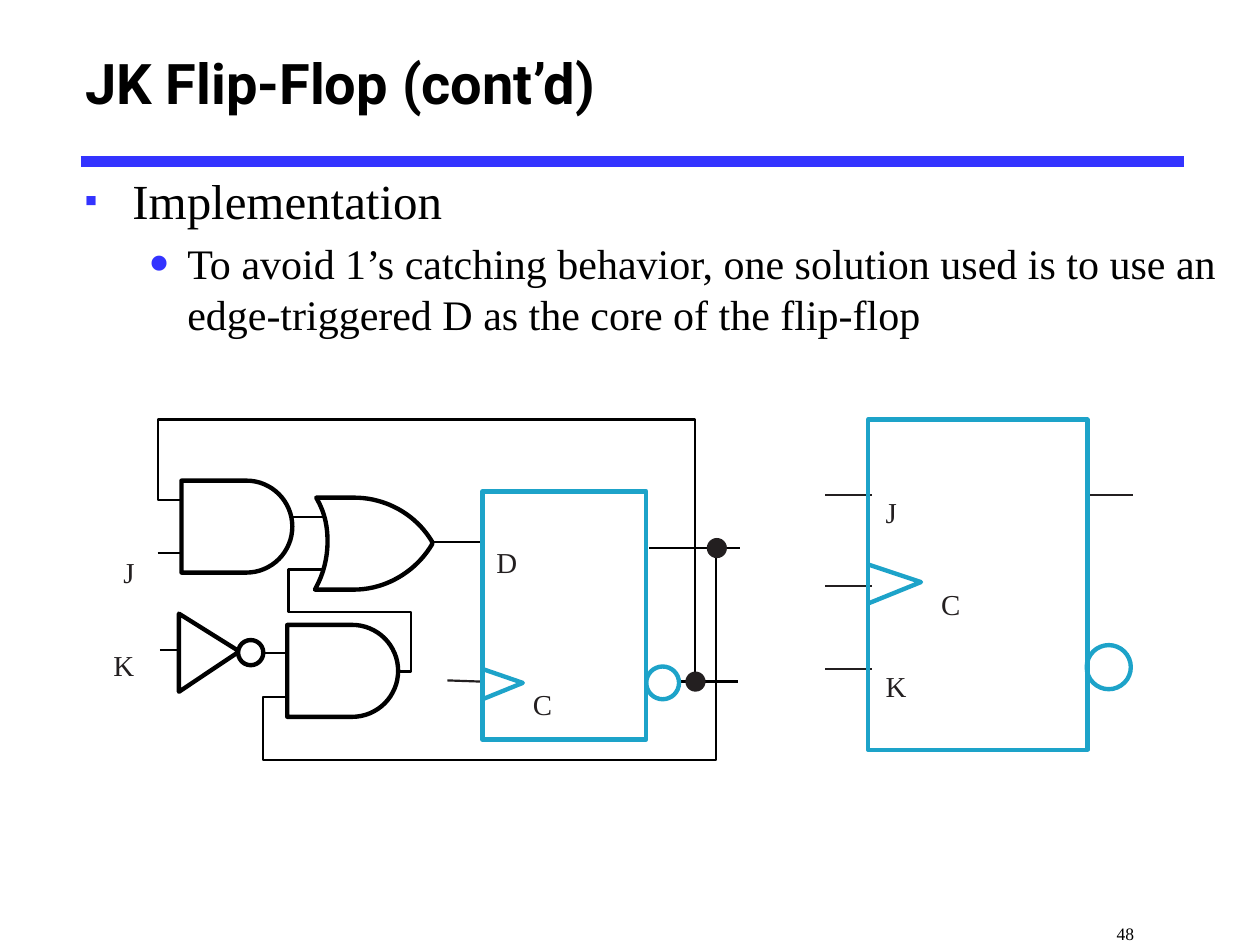
import math
from dataclasses import dataclass

from lxml import etree
from pptx import Presentation
from pptx import util as u
from pptx.dml.color import RGBColor
from pptx.enum import shapes, text
from pptx.oxml import ns

COLS, ROWS = 100, 75


@dataclass(frozen=True)
class Theme:
    black: str = "000000"
    white: str = "FFFFFF"
    accent: str = "3333FF"
    block: str = "1DA3C9"
    ink: str = "231F20"
    head_font: str = "Roboto"
    body_font: str = "Times New Roman"
    title: float = 32
    levels: tuple = (28, 24)
    label: float = 16.5
    number: float = 10
    thin: float = 1.25
    thick: float = 2.5
    rule: float = 6


def arc(cx, cy, radius, start, end, steps=32):
    """Points along a circle, angles in degrees."""
    angles = [math.radians(start + (end - start) * i / steps) for i in range(steps + 1)]
    return [(cx + radius * math.cos(a), cy + radius * math.sin(a)) for a in angles]


def curve(p0, p1, p2, p3, steps=20):
    """Points along a cubic curve."""
    points = []
    for i in range(steps + 1):
        t = i / steps
        weights = ((1 - t) ** 3, 3 * t * (1 - t) ** 2, 3 * t * t * (1 - t), t ** 3)
        points.append(tuple(sum(w * p[axis] for w, p in zip(weights, (p0, p1, p2, p3)))
                            for axis in (0, 1)))
    return points


class Canvas:
    def __init__(self, prs, theme):
        self.theme = theme
        self.slide = prs.slides.add_slide(prs.slide_layouts[5])
        self.shapes = self.slide.shapes
        self.col = prs.slide_width / COLS
        self.row = prs.slide_height / ROWS

    def xy(self, x, y):
        return u.Emu(round(x * self.col)), u.Emu(round(y * self.row))

    def box(self, x, y, w, h):
        return (*self.xy(x, y), *self.xy(w, h))

    def paint(self, sp, fill=None, line=None, width=None):
        sp.shadow.inherit = False
        if fill:
            sp.fill.solid()
            sp.fill.fore_color.rgb = RGBColor.from_string(fill)
        else:
            sp.fill.background()
        if line:
            sp.line.color.rgb = RGBColor.from_string(line)
            sp.line.width = u.Pt(width)
        else:
            sp.line.fill.background()

    def run(self, p, words, size, color, font=None, bold=False):
        r = p.add_run()
        r.text = words
        r.font.size, r.font.bold = u.Pt(size), bold
        r.font.name = font or self.theme.body_font
        r.font.color.rgb = RGBColor.from_string(color)

    def title(self, words, *box):
        sp = self.shapes.title
        sp.left, sp.top, sp.width, sp.height = self.box(*box)
        tf = sp.text_frame
        tf.vertical_anchor = text.MSO_ANCHOR.MIDDLE
        p = tf.paragraphs[0]
        p.alignment = text.PP_ALIGN.LEFT
        self.run(p, words, self.theme.title, self.theme.black, self.theme.head_font, True)

    def bullets(self, items, *box):
        """items: (level, words, bullet, bullet size %, left margin, hang)."""
        tf = self.shapes.add_textbox(*self.box(*box)).text_frame
        tf.word_wrap = True
        for i, (level, words, mark, percent, margin, hang) in enumerate(items):
            p = tf.paragraphs[0] if i == 0 else tf.add_paragraph()
            size = self.theme.levels[level]
            p.level = level
            p.space_before = u.Pt(0.2 * size)
            pr = p._p.get_or_add_pPr()
            pr.set("marL", str(round(margin * self.col)))
            pr.set("indent", str(round(-hang * self.col)))
            color = etree.SubElement(pr, ns.qn("a:buClr"))
            etree.SubElement(color, ns.qn("a:srgbClr"), val=self.theme.accent)
            etree.SubElement(pr, ns.qn("a:buSzPct"), val=str(percent * 1000))
            etree.SubElement(pr, ns.qn("a:buFont"), typeface=self.theme.body_font)
            etree.SubElement(pr, ns.qn("a:buChar"), char=mark)
            self.run(p, words, size, self.theme.black)

    def label(self, words, x, y, w):
        tf = self.shapes.add_textbox(*self.box(x, y, w, 4.7)).text_frame
        tf.margin_left = tf.margin_right = tf.margin_bottom = 0
        tf.margin_top = u.Inches(0.26)
        tf.word_wrap = False
        self.run(tf.paragraphs[0], words, self.theme.label, self.theme.ink)

    def page_number(self, words, *box):
        tf = self.shapes.add_textbox(*self.box(*box)).text_frame
        tf.word_wrap = True
        tf.vertical_anchor = text.MSO_ANCHOR.BOTTOM
        tf.margin_right, tf.margin_bottom = u.Inches(1), u.Inches(0.01)
        p = tf.paragraphs[0]
        p.alignment = text.PP_ALIGN.RIGHT
        self.run(p, words, self.theme.number, self.theme.black)

    def line(self, x1, y1, x2, y2, color, width):
        line = self.shapes.add_connector(shapes.MSO_CONNECTOR.STRAIGHT,
                                         *self.xy(x1, y1), *self.xy(x2, y2))
        line.line.color.rgb = RGBColor.from_string(color)
        line.line.width = u.Pt(width)
        etree.SubElement(line._element.spPr, ns.qn("a:effectLst"))

    def outline(self, strokes, color, width, fill=None, close=False):
        """One freeform made of one or more strokes, each a list of points."""
        builder = None
        for stroke in strokes:
            first, *rest = [self.xy(*point) for point in stroke]
            if builder is None:
                builder = self.shapes.build_freeform(*first, scale=1.0)
            else:
                builder.move_to(*first)
            builder.add_line_segments(rest, close=close)
        self.paint(builder.convert_to_shape(), fill, color, width)

    def wires(self, *strokes, color=None):
        self.outline(strokes, color or self.theme.black, self.theme.thin)

    def block(self, *strokes):
        self.outline(strokes, self.theme.block, self.theme.thick)

    def gate(self, points):
        self.outline([points], self.theme.black, self.theme.thick, self.theme.white, True)

    def and_gate(self, x, y):
        r = 3.65
        self.gate([(x, y), (x, y + 2 * r), *arc(x + 5.15, y + r, r, 90, -90)])

    def preset(self, kind, box, fill=None, line=None):
        sp = self.shapes.add_shape(kind, *self.box(*box))
        self.paint(sp, fill, line, self.theme.thick)


def main():
    prs = Presentation()
    prs.slide_width, prs.slide_height = u.Inches(10), u.Inches(7.5)
    theme = Theme()
    s = Canvas(prs, theme)
    oval, rectangle = shapes.MSO_SHAPE.OVAL, shapes.MSO_SHAPE.RECTANGLE

    # Heading and text
    s.line(6.4, 12.8, 94, 12.8, theme.accent, theme.rule)
    s.title("JK Flip-Flop (cont’d)", 5.75, 0.9, 87.2, 11.2)
    s.bullets([
        (0, "Implementation", "▪", 75, 3.8, 3.8),
        (1, "To avoid 1’s catching behavior, one solution used is to use an "
            "edge-triggered D as the core of the flip-flop", "•", 150, 8.15, 3.1),
    ], 5.73, 13.05, 91.8, 59.7)
    s.page_number("48", 79, 71.2, 21, 3.8)

    # Circuit: clock input, D input and inverter output
    s.line(35.5, 54, 38.3, 54.1, theme.ink, theme.thin)
    s.wires([(34.3, 43), (38.3, 43)], [(20.9, 51.8), (22.8, 51.8)])

    # Circuit: D flip-flop body and inverter
    s.preset(rectangle, (38.3, 39, 13, 19.7), line=theme.block)
    s.gate([(14.2, 48.7), (14.2, 54.9), (19, 51.7)])
    s.preset(oval, (18.9, 50.8, 2, 2), theme.white, theme.black)

    # Circuit: feedback loops and outputs
    s.wires([(14.5, 39.7), (12.55, 39.7), (12.55, 33.3), (55.15, 33.3), (55.15, 54.1)],
            [(22.7, 55.3), (20.9, 55.3), (20.9, 60.3), (56.8, 60.3), (56.8, 43.5)],
            [(51.5, 43.5), (58.7, 43.5)], [(53.9, 54.1), (58.6, 54.1)])

    # Circuit: OR gate and AND gates
    s.gate(curve((25.1, 46.6), (25.7, 45.5), (26, 44.2), (26, 43))
           + curve((26, 43), (26, 41.8), (25.8, 40.7), (25.1, 39.5))
           + curve((28.1, 39.5), (30.6, 39.5), (33, 40.8), (34.3, 43))
           + curve((34.3, 43.2), (33, 45.4), (30.6, 46.8), (28.1, 46.8))
           + [(25, 46.8)])
    s.and_gate(14.4, 38.15)
    s.and_gate(22.8, 49.6)

    # Circuit: gate inputs and the wire between the gates
    s.wires([(31.6, 53.3), (32.6, 53.3), (32.6, 48.6), (22.9, 48.6),
             (22.9, 45.2), (25.8, 45.2)],
            [(23.2, 41.05), (25.8, 41.05)], [(12.5, 43.9), (14.4, 43.9)],
            [(12.7, 51.6), (14.2, 51.6)])

    # Circuit: inverted output, clock mark and junctions
    s.block(arc(52.6, 54.2, 1.3, 0, 360), [(38.3, 53.1), (41.5, 54.2), (38.3, 55.5)])
    for x, y in [(56.1, 42.7), (54.4, 53.3)]:
        s.preset(oval, (x, y, 1.6, 1.6), theme.ink)

    # JK symbol: pins, then body with clock mark and inverted output
    s.wires([(65.5, 39.3), (69.2, 39.3)], [(86.4, 39.3), (89.9, 39.3)],
            [(65.5, 46.5), (69.2, 46.5)], [(65.5, 53.1), (69.2, 53.1)], color=theme.ink)
    s.block([(68.9, 33.3), (68.9, 59.5), (86.3, 59.5), (86.3, 33.3), (68.9, 33.3)],
            [(68.9, 44.8), (73.1, 46.2), (68.9, 47.9)],
            arc(88, 52.95, 1.75, 0, 360))

    # Pin labels
    for name, x, y, w in [("D", 39.4, 40.6, 3.2), ("C", 42.3, 51.9, 2.8),
                          ("K", 9, 48.8, 3), ("J", 9.8, 41.4, 1.7),
                          ("J", 70.3, 36.7, 1.7), ("C", 74.7, 44, 2.8),
                          ("K", 70.3, 50.5, 3)]:
        s.label(name, x, y, w)

    prs.save("out.pptx")


if __name__ == "__main__":
    main()
